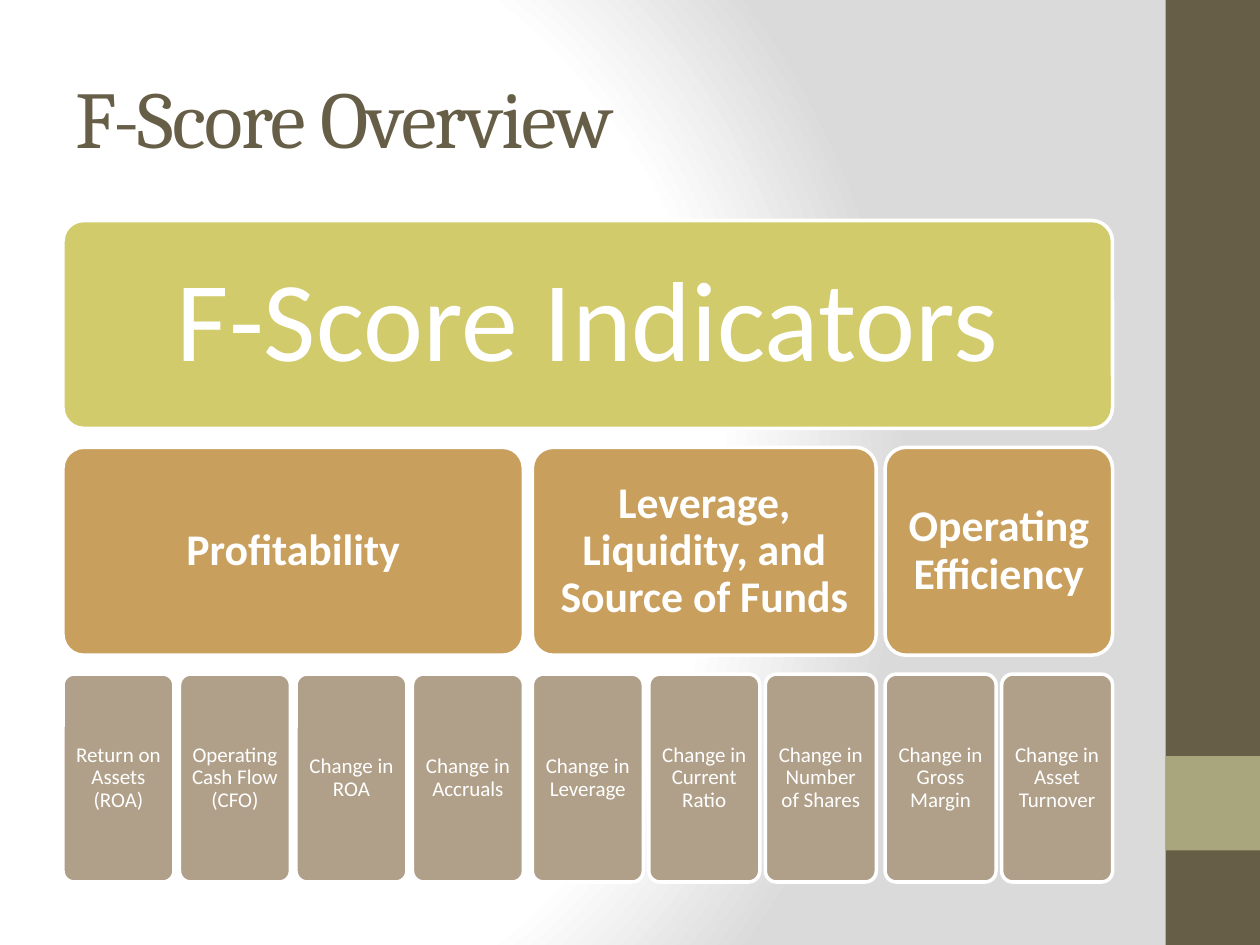
from dataclasses import dataclass

import pptx
import pptx.dml.color
import pptx.enum.shapes
import pptx.enum.text
import pptx.oxml
import pptx.oxml.ns
import pptx.util

SLIDE_WIDTH, SLIDE_HEIGHT = 10, 7.5


@dataclass(frozen=True)
class Theme:
    olive: str = "675E47"
    sage: str = "A9A57C"
    lime: str = "D2CB6C"
    ochre: str = "C89F5D"
    taupe: str = "B1A089"
    white: str = "FFFFFF"
    grey: str = "DADADA"
    heading_font: str = "Cambria"
    body_font: str = "Calibri"
    title_size: int = 46
    root_size: int = 65
    category_size: int = 25
    indicator_size: int = 12


@dataclass(frozen=True)
class Box:
    """A rectangle in inches."""
    left: float
    top: float
    width: float
    height: float

    def emu(self) -> list[int]:
        return [pptx.util.Inches(v) for v in (self.left, self.top, self.width, self.height)]


@dataclass(frozen=True)
class Level:
    """One row of the hierarchy and the look of its cards."""
    row: int
    fill: str
    size: int
    inset: float
    bold: bool = False


@dataclass(frozen=True)
class Category:
    name: str
    indicators: tuple[str, ...]


THEME = Theme()
ROOT = Level(0, THEME.lime, THEME.root_size, 0.27)
CATEGORY = Level(1, THEME.ochre, THEME.category_size, 0.1, bold=True)
INDICATOR = Level(2, THEME.taupe, THEME.indicator_size, 0.05)

CATEGORIES = (
    Category("Profitability", (
        "Return on Assets (ROA)", "Operating Cash Flow (CFO)",
        "Change in ROA", "Change in Accruals")),
    Category("Leverage, Liquidity, and Source of Funds", (
        "Change in Leverage", "Change in Current Ratio", "Change in Number of Shares")),
    Category("Operating Efficiency", (
        "Change in Gross Margin", "Change in Asset Turnover")),
)

# Hierarchy grid: gaps between columns are shares of one indicator's width.
GRID_LEFT, GRID_TOP, GRID_WIDTH = 0.5, 1.75, 8.33
ROW_HEIGHT, ROW_PITCH = 1.65, 1.8
INDICATOR_GAP, CATEGORY_GAP = 0.05, 0.08


def span(count: int) -> float:
    """Width of neighbouring indicators, in columns."""
    return count + (count - 1) * INDICATOR_GAP


COLUMN = GRID_WIDTH / (
    sum(span(len(category.indicators)) for category in CATEGORIES)
    + (len(CATEGORIES) - 1) * CATEGORY_GAP)


def cell(level: Level, column: float, columns: float) -> Box:
    return Box(GRID_LEFT + column * COLUMN, GRID_TOP + level.row * ROW_PITCH,
               columns * COLUMN, ROW_HEIGHT)


def rgb(value: str) -> pptx.dml.color.RGBColor:
    return pptx.dml.color.RGBColor.from_string(value)


def add_run(paragraph, text: str, font: str, size: int, color: str, bold: bool = False):
    run = paragraph.add_run()
    run.text = text
    run.font.name = font
    run.font.size = pptx.util.Pt(size)
    run.font.color.rgb = rgb(color)
    run.font.bold = bold
    return run


def add_panel(slide, kind, box: Box, fill: str):
    panel = slide.shapes.add_shape(kind, *box.emu())
    panel.shadow.inherit = False
    panel.fill.solid()
    panel.fill.fore_color.rgb = rgb(fill)
    panel.line.fill.background()
    return panel


def add_card(slide, level: Level, text: str, box: Box) -> None:
    card = add_panel(slide, pptx.enum.shapes.MSO_SHAPE.ROUNDED_RECTANGLE, box, level.fill)
    card.adjustments[0] = 0.1
    card.line.color.rgb = rgb(THEME.white)
    card.line.width = pptx.util.Pt(2)
    frame = card.text_frame
    frame.word_wrap = True
    frame.vertical_anchor = pptx.enum.text.MSO_ANCHOR.MIDDLE
    inset = pptx.util.Inches(level.inset)
    frame.margin_left = frame.margin_top = frame.margin_right = frame.margin_bottom = inset
    paragraph = frame.paragraphs[0]
    paragraph.alignment = pptx.enum.text.PP_ALIGN.CENTER
    paragraph.line_spacing = 0.9
    add_run(paragraph, text, THEME.body_font, level.size, THEME.white, level.bold)


def add_background(slide) -> None:
    """Radial gradient, which python-pptx offers only through XML."""
    stops = ((0, THEME.white), (75, THEME.white), (100, THEME.grey))
    stop_xml = "".join(
        f'<a:gs pos="{share * 1000}"><a:srgbClr val="{color}"/></a:gs>'
        for share, color in stops)
    background = pptx.oxml.parse_xml(
        f'<p:bg {pptx.oxml.ns.nsdecls("p", "a")}><p:bgPr><a:gradFill rotWithShape="1">'
        f'<a:gsLst>{stop_xml}</a:gsLst><a:path path="circle">'
        '<a:fillToRect l="20000" t="50000" r="100000" b="50000"/></a:path>'
        '</a:gradFill><a:effectLst/></p:bgPr></p:bg>')
    slide.element.cSld.insert(0, background)


def add_sidebar(slide) -> None:
    width = 0.075 * SLIDE_WIDTH
    left = SLIDE_WIDTH - width
    rectangle = pptx.enum.shapes.MSO_SHAPE.RECTANGLE
    add_panel(slide, rectangle, Box(left, 0, width, SLIDE_HEIGHT), THEME.olive)
    add_panel(slide, rectangle, Box(left, 0.8 * SLIDE_HEIGHT, width, width), THEME.sage)


def add_title(slide, text: str) -> None:
    title = slide.shapes.add_textbox(*Box(GRID_LEFT, 0.04 * SLIDE_HEIGHT, GRID_WIDTH, 1.25).emu())
    frame = title.text_frame
    frame.word_wrap = True
    frame.vertical_anchor = pptx.enum.text.MSO_ANCHOR.MIDDLE
    run = add_run(frame.paragraphs[0], text, THEME.heading_font, THEME.title_size, THEME.olive)
    run.font._element.set("spc", "-100")


def add_hierarchy(slide) -> None:
    add_card(slide, ROOT, "F-Score Indicators", cell(ROOT, 0, GRID_WIDTH / COLUMN))
    start = 0.0
    for category in CATEGORIES:
        columns = span(len(category.indicators))
        add_card(slide, CATEGORY, category.name, cell(CATEGORY, start, columns))
        for index, indicator in enumerate(category.indicators):
            column = start + index * (1 + INDICATOR_GAP)
            add_card(slide, INDICATOR, indicator, cell(INDICATOR, column, 1))
        start += columns + CATEGORY_GAP


def main() -> None:
    deck = pptx.Presentation()
    deck.slide_width = pptx.util.Inches(SLIDE_WIDTH)
    deck.slide_height = pptx.util.Inches(SLIDE_HEIGHT)
    slide = deck.slides.add_slide(deck.slide_layouts[6])
    add_background(slide)
    add_sidebar(slide)
    add_title(slide, "F-Score Overview")
    add_hierarchy(slide)
    deck.save("out.pptx")


if __name__ == "__main__":
    main()
